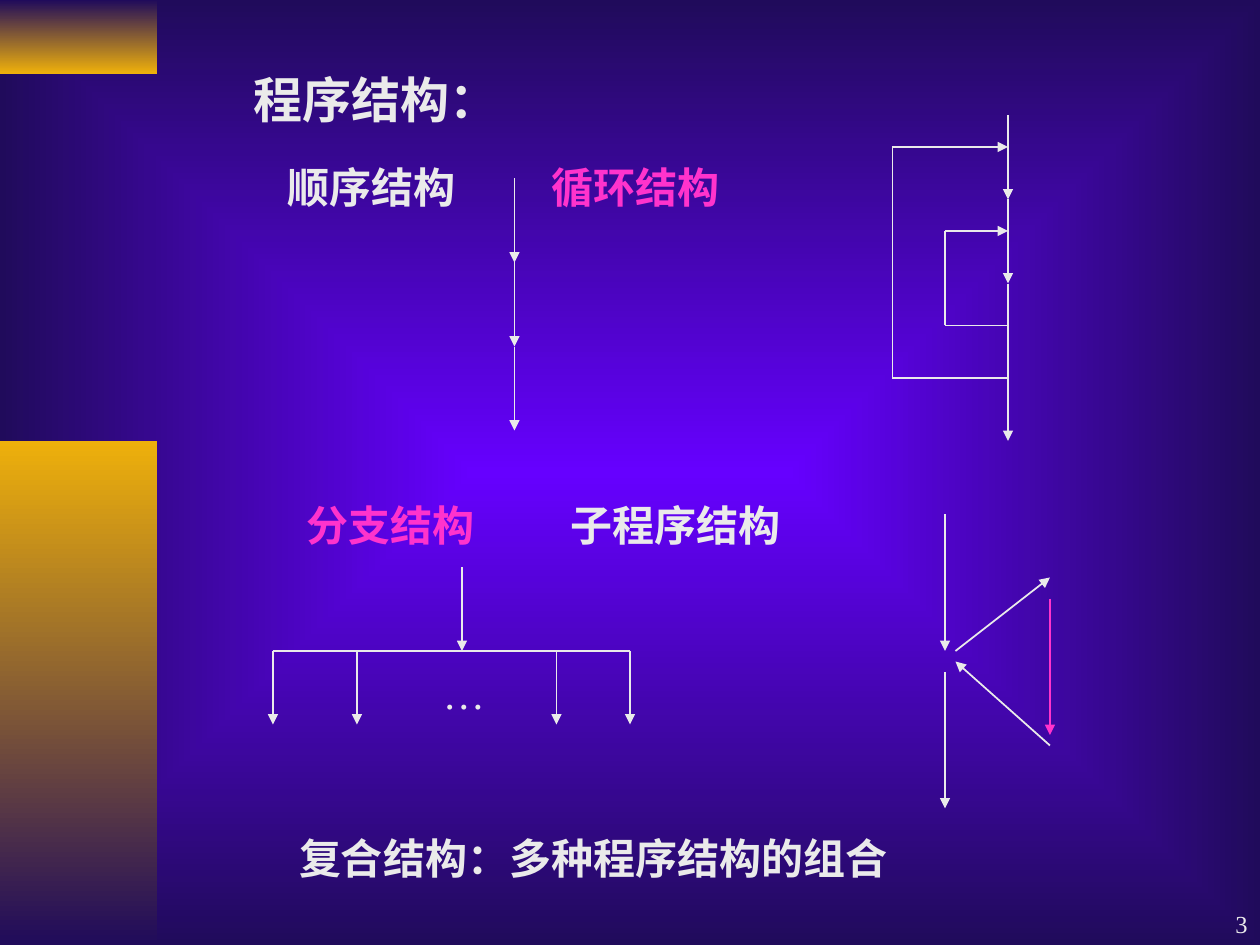
import itertools

import lxml.etree
import pptx
import pptx.dml.color
import pptx.enum.shapes
import pptx.enum.text
import pptx.oxml.ns
import pptx.util

COLOURS = {"light": "EAEAEA", "pink": "FF33CC", "gold": "EEB00B",
           "violet": "6600FF", "navy": "200B5B"}
CJK_FONT = "Noto Sans CJK SC"
LATIN_FONT = "Times New Roman"
GRID = 2.54 / 12
TAB_STOP = 5.32


class StructurePage:
    """Holds the style and the current slide, placed on a grid of twelfths of an inch."""

    def __init__(self, deck):
        self.page = deck.slides.add_slide(deck.slide_layouts[6])

    def grid(self, *steps):
        return [pptx.util.Cm(step * GRID) for step in steps]

    def colour(self, name):
        return pptx.dml.color.RGBColor.from_string(COLOURS[name])

    def child(self, parent, tag, **attributes):
        return lxml.etree.SubElement(parent, pptx.oxml.ns.qn(tag), **attributes)

    def gradient(self, fill, first, last):
        fill.gradient()
        for stop, name in zip(fill.gradient_stops, (first, last)):
            stop.color.rgb = self.colour(name)
        fill.gradient_angle = 270

    def background(self, centre, edge):
        self.gradient(self.page.background.fill, centre, edge)
        linear = self.page.element.find(".//" + pptx.oxml.ns.qn("a:lin"))
        gradient = linear.getparent()
        gradient.remove(linear)
        focus = self.child(gradient, "a:path", path="rect")
        self.child(focus, "a:fillToRect", l="50000", t="50000", r="50000", b="50000")

    def band(self, top, height, first, last):
        box = self.page.shapes.add_shape(
            pptx.enum.shapes.MSO_SHAPE.RECTANGLE, *self.grid(0, top, 15, height))
        box.shadow.inherit = False
        box.line.fill.background()
        self.gradient(box.fill, first, last)

    def line(self, start, end, arrow=True, colour="light"):
        connector = self.page.shapes.add_connector(
            pptx.enum.shapes.MSO_CONNECTOR.STRAIGHT, *self.grid(*start, *end))
        connector.line.width = pptx.util.Pt(1)
        connector.line.color.rgb = self.colour(colour)
        properties = connector._element.spPr
        if arrow:
            self.child(properties.find(pptx.oxml.ns.qn("a:ln")), "a:tailEnd", type="triangle")
        self.child(properties, "a:effectLst")

    def flow(self, column, rows):
        for top, bottom in itertools.pairwise(rows):
            self.line((column, top), (column, bottom))

    def loop(self, right, left, bottom, top):
        self.line((right, bottom), (left, bottom), arrow=False)
        self.line((left, bottom), (left, top), arrow=False)
        self.line((left, top), (right, top))

    def text(self, place, *parts, size=24, bold=True, font=CJK_FONT,
             inset=0.25, align="LEFT", anchor="TOP"):
        box = self.page.shapes.add_textbox(*self.grid(*place))
        frame = box.text_frame
        frame.word_wrap = True
        frame.margin_left = pptx.util.Cm(inset)
        frame.vertical_anchor = pptx.enum.text.MSO_ANCHOR[anchor]
        para = frame.paragraphs[0]
        para.alignment = pptx.enum.text.PP_ALIGN[align]
        if len(parts) > 1:
            tabs = self.child(para._p.get_or_add_pPr(), "a:tabLst")
            self.child(tabs, "a:tab", pos=str(int(pptx.util.Cm(TAB_STOP))), algn="l")
        for wording, colour in parts:
            span = para.add_run()
            span.text = wording
            span.font.size = pptx.util.Pt(size)
            span.font.bold = bold
            span.font.color.rgb = self.colour(colour)
            span.font.name = font
            self.child(span._r.get_or_add_rPr(), "a:ea", typeface=CJK_FONT)


def main():
    deck = pptx.Presentation()
    deck.slide_width = pptx.util.Cm(25.4)
    deck.slide_height = pptx.util.Cm(19.05)
    page = StructurePage(deck)

    page.background("violet", "navy")
    page.band(0, 7, "navy", "gold")
    page.band(42, 48, "gold", "navy")

    page.text((23, 6, 26, 11.6), ("程序结构：", "light"), size=28, font=LATIN_FONT)
    page.text((24.5, 14.8, 58.3, 6), ("顺序结构", "light"), ("\t循环结构", "pink"), inset=0.62)
    page.text((28, 47, 61, 6), ("分支结构", "pink"), ("\t子程序结构", "light"))
    page.text((27.3, 78.7, 60, 6), ("复合结构：多种程序结构的组合", "light"), font=LATIN_FONT)

    page.flow(49, (17, 25, 33, 41))

    page.flow(96, (11, 19, 27, 42))
    page.loop(96, 90, 31, 22)
    page.loop(96, 85, 36, 14)

    page.flow(44, (54, 62))
    page.line((26, 62), (60, 62), arrow=False)
    for column in (26, 34, 53, 60):
        page.flow(column, (62, 69))
    page.text((41, 63, 8, 6), ("…", "light"), bold=False, font=LATIN_FONT)

    page.flow(90, (49, 62))
    page.flow(90, (64, 77))
    page.line((91, 62), (100, 55))
    page.line((100, 57), (100, 70), colour="pink")
    page.line((100, 71), (91, 63))

    page.text((95, 84, 25, 6), ("3", "light"), size=14, bold=False, font=LATIN_FONT,
              align="RIGHT", anchor="BOTTOM")
    deck.save("out.pptx")


if __name__ == "__main__":
    main()
